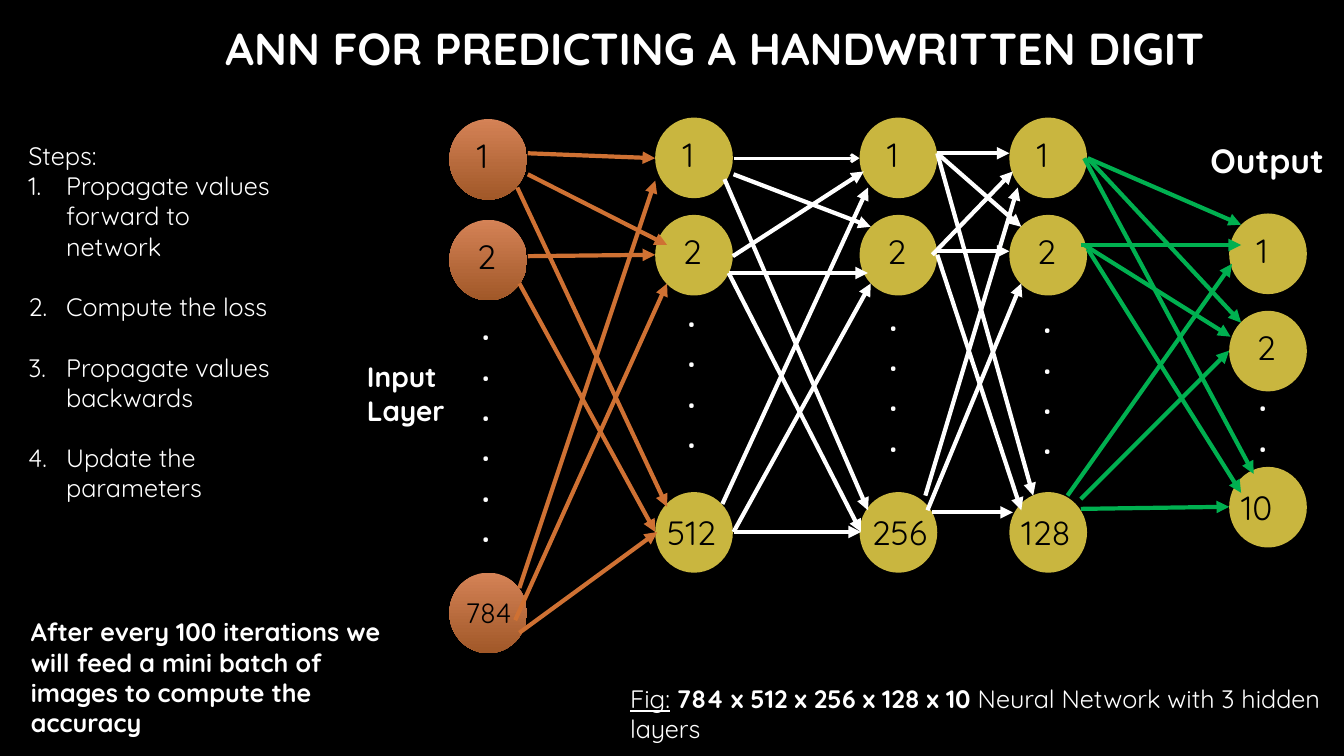
from dataclasses import dataclass
from lxml.etree import SubElement
from pptx import Presentation
from pptx.dml.color import RGBColor as RGB
from pptx.enum.shapes import MSO_CONNECTOR as Connector, MSO_SHAPE as Shape
from pptx.enum.text import MSO_ANCHOR as Anchor, MSO_AUTO_SIZE as AutoSize, PP_ALIGN as Align
from pptx.oxml.ns import qn
from pptx.util import Pt


@dataclass(frozen=True)
class Theme:
    font: str = "Quicksand"
    black: RGB = RGB(0x00, 0x00, 0x00)
    white: RGB = RGB(0xFF, 0xFF, 0xFF)
    copper_light: RGB = RGB(0xD4, 0x82, 0x56)
    copper_dark: RGB = RGB(0xA1, 0x58, 0x28)
    orange: RGB = RGB(0xCF, 0x71, 0x33)
    gold: RGB = RGB(0xC9, 0xB6, 0x3F)
    green: RGB = RGB(0x00, 0xB0, 0x50)
    title: Pt = Pt(32)
    label: Pt = Pt(24)
    side: Pt = Pt(20)
    text: Pt = Pt(18)


theme = Theme()


def write(para, text, color=theme.white, **values):
    """Add one formatted span to a paragraph."""
    span = para.add_run()
    span.text = text
    span.font.color.rgb = color
    for name, value in {"name": theme.font, "size": theme.text, "bold": False, **values}.items():
        setattr(span.font, name, value)


def add_text(left, top, width, height, lines, **values):
    """Add a text box with one paragraph per line."""
    frame = page.shapes.add_textbox(Pt(left), Pt(top), Pt(width), Pt(height)).text_frame
    frame.word_wrap = True
    for index, line in enumerate(lines):
        para = frame.add_paragraph() if index else frame.paragraphs[0]
        write(para, line, **values)
    return frame


# Slide
deck = Presentation()
deck.slide_width, deck.slide_height = Pt(960), Pt(540)
page = deck.slides.add_slide(deck.slide_layouts[1])
page.background.fill.solid()
page.background.fill.fore_color.rgb = theme.black
title, steps = page.placeholders

# Title
title.left, title.top, title.width, title.height = Pt(62), Pt(2), Pt(898), Pt(64)
title.text_frame.auto_size = AutoSize.NONE
title.text_frame.vertical_anchor = Anchor.MIDDLE
heading = title.text_frame.paragraphs[0]
heading.alignment = Align.CENTER
write(heading, "ANN FOR PREDICTING A HANDWRITTEN DIGIT", size=theme.title, bold=True)

# Numbered steps
steps.left, steps.top, steps.width, steps.height = Pt(13), Pt(96.5), Pt(191), Pt(312)
steps.text_frame.auto_size = AutoSize.NONE
steps.text_frame.vertical_anchor = Anchor.TOP
step_lines = ["Steps:", "Propagate values forward to network", "Compute the loss",
              "Propagate values backwards", "Update the parameters"]
for index, line in enumerate(step_lines):
    para = steps.text_frame.add_paragraph() if index else steps.text_frame.paragraphs[0]
    para.alignment = Align.LEFT
    para.space_before = Pt(21.6 if index > 1 else 0)
    props = para._p.get_or_add_pPr()
    indent = Pt(27) if index else 0
    props.set("marL", str(indent))
    props.set("indent", str(-indent))
    if index:
        SubElement(props, qn("a:buAutoNum"), type="arabicPeriod")
    else:
        SubElement(props, qn("a:buNone"))
    write(para, line)

# Layers: left edge, last label, tops of the three nodes
node_width, node_height = 55.5, 57.6
hidden_tops = (84, 153.5, 351.5)
layers = [
    (321, "784", (85, 157, 409)),
    (468, "512", hidden_tops),
    (614, "256", hidden_tops),
    (721, "128", hidden_tops),
    (878, "10", (152.5, 222, 333.5)),
]
for left, last, tops in layers:
    for label, top in zip(("1", "2", last), tops):
        node = page.shapes.add_shape(Shape.OVAL, Pt(left), Pt(top), Pt(node_width), Pt(node_height))
        node.shadow.inherit = False
        node.line.fill.background()
        if last == "784":
            node.fill.gradient()
            node.fill.gradient_angle = 270
            for stop, color in zip(node.fill.gradient_stops, (theme.copper_light, theme.copper_dark)):
                stop.color.rgb = color
        else:
            node.fill.solid()
            node.fill.fore_color.rgb = theme.gold
        # Place the label by its length
        shift, drop, size = (12.5, 8, theme.label) if len(label) == 1 else (1.5, 10.5, theme.label)
        if label == "784":
            shift, drop, size = 4.5, 13, theme.side
        add_text(left + shift, top + drop, 54.5, 36, [label], color=theme.black, size=size)

# Dots for the nodes left out: left, top, count
for left, top, count in [(337, 216, 6), (484, 206.5, 4), (628, 209, 4), (738, 211, 4), (892, 266.5, 2)]:
    add_text(left, top, 67.5, 29 * count + 7, "." * count, size=theme.label, bold=True)

# Arrows between layers: colour, width, head, ends as x1, y1, x2, y2
arrow_groups = [
    (theme.orange, 3, "triangle", [
        (371, 420, 468, 129), (368, 443, 476.5, 202.5), (371, 452, 469.5, 380),
        (377, 109.5, 468, 113), (377, 183, 468, 182), (377, 124.5, 476.5, 175),
        (369.5, 134, 476.5, 362), (371, 202.5, 468, 380)]),
    (theme.white, 2, "arrow", [(524, 113, 614, 113)]),
    (theme.white, 3, "triangle", [
        (524, 124.5, 622, 162), (517.5, 128, 620, 364.5), (523.5, 183, 617, 122.5),
        (520.5, 195, 620, 195), (520.5, 195, 615, 380), (516, 360, 620, 134),
        (524, 380, 622, 202.5), (524, 380, 615, 380),
        (669.5, 109.5, 721, 109.5), (669.5, 109.5, 729.5, 162), (669.5, 109.5, 738, 354),
        (666, 182, 723.5, 122.5), (669.5, 179.5, 721, 179.5), (669.5, 182, 729.5, 364.5),
        (661, 354, 727, 134), (662.5, 364.5, 729.5, 202.5), (666, 366, 723.5, 366)]),
    (theme.green, 3, "triangle", [
        (777, 113, 886.5, 160.5), (777, 113, 886.5, 230.5), (774.5, 113, 895.5, 338.5),
        (772, 175, 886.5, 175), (774.5, 175, 879, 240.5), (777, 178, 886.5, 352),
        (762.5, 354, 880, 188.5), (772, 356.5, 878, 250.5), (772, 363.5, 878, 362)]),
]
for color, width, head, ends in arrow_groups:
    for x1, y1, x2, y2 in ends:
        arrow = page.shapes.add_connector(Connector.STRAIGHT, Pt(x1), Pt(y1), Pt(x2), Pt(y2))
        arrow.line.color.rgb = color
        arrow.line.width = Pt(width)
        props = arrow._element.spPr
        SubElement(props.find(qn("a:ln")), qn("a:tailEnd"), type=head)
        SubElement(props, qn("a:effectLst"))

# Layer names and note
add_text(857.5, 96.5, 97, 36, ["Output"], size=theme.label, bold=True)
add_text(255, 253.5, 86.5, 55.5, ["Input", "Layer"], size=theme.side, bold=True)
add_text(15, 437, 271.5, 94.5,
         ["After every 100 iterations we will feed a mini batch of images to compute the accuracy"],
         bold=True)

# Figure caption
caption = add_text(443, 484.5, 517, 52.5, ["Fig:"], underline=True).paragraphs[0]
write(caption, " ")
write(caption, "784 x 512 x 256 x 128 x 10", bold=True)
write(caption, " Neural Network with 3 hidden layers")

deck.save("out.pptx")
